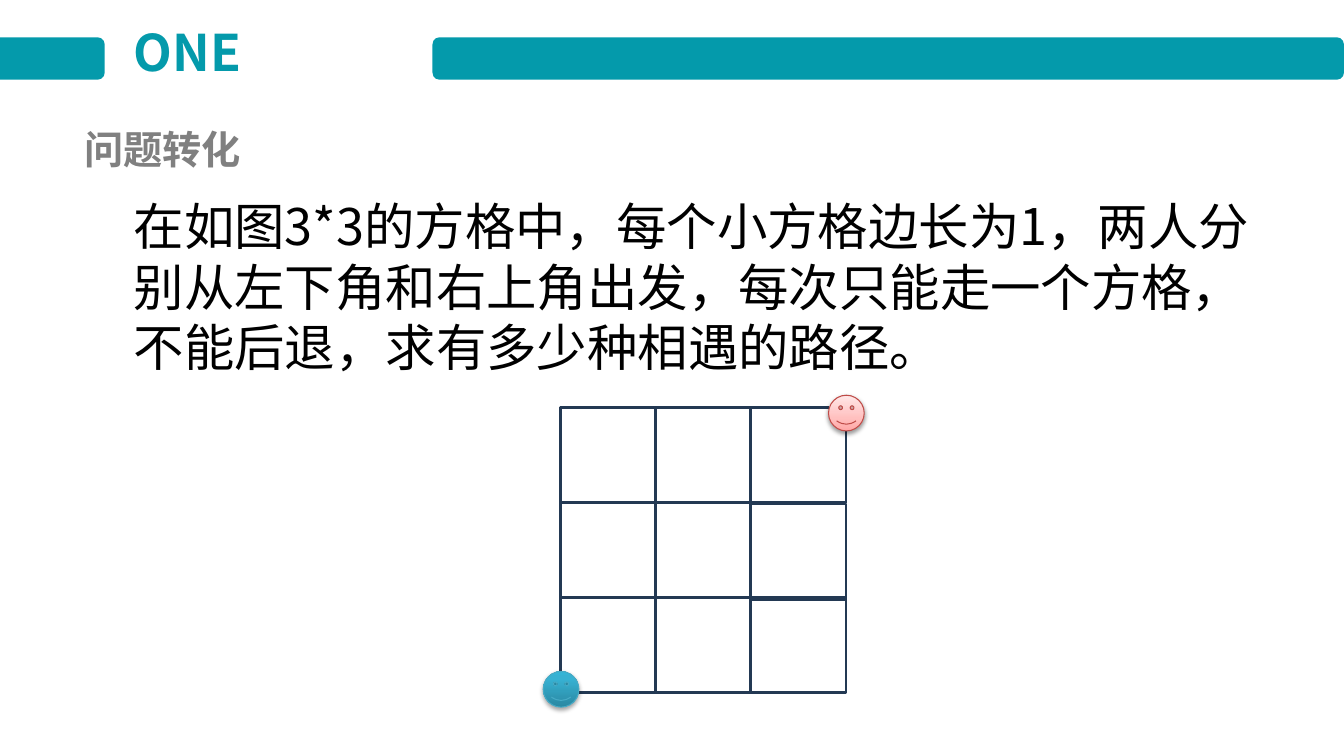
from itertools import product

from lxml.etree import SubElement
from pptx import Presentation
from pptx.dml.color import RGBColor
from pptx.enum.shapes import MSO_SHAPE as Shape
from pptx.enum.text import MSO_ANCHOR as Anchor, PP_ALIGN as Align
from pptx.oxml.ns import qn
from pptx.util import Cm, Pt

FONT = "Noto Sans CJK SC"
COLORS = {"teal": "049AAB", "black": "000000", "gray": "808080", "navy": "233953",
          "blue_edge": "46AAC5", "red_edge": "BF4C48"}
BLUE_STOPS = [(0, "2A88A2"), (80, "37B1D2"), (100, "34B4D6")]
PINK_STOPS = [(0, "FFA6A5"), (35, "FFC0BF"), (100, "FFE7E7")]
CELL = 2.4
GRID_LEFT, GRID_TOP = 14.12, 10.26


def rgb(name):
    return RGBColor.from_string(COLORS[name])


def place(shape, left, top, width, height):
    shape.left, shape.top, shape.width, shape.height = map(Cm, (left, top, width, height))


def write_text(box, text, size, color, bold=False):
    frame = box.text_frame
    frame.word_wrap = True
    frame.vertical_anchor = Anchor.TOP
    para = frame.paragraphs[0]
    para.text = text
    para.alignment = Align.LEFT
    font = para.font
    font.name, font.size, font.bold = FONT, Pt(size), bold
    font.color.rgb = rgb(color)
    defaults = para._p.pPr.find(qn("a:defRPr"))
    SubElement(defaults, qn("a:ea"), typeface=FONT)
    return para


def add_text(page, text, area, size, color, bold=False):
    box = page.shapes.add_textbox(*map(Cm, area))
    return box, write_text(box, text, size, color, bold)


def add_plain_shape(page, kind, area):
    shape = page.shapes.add_shape(kind, *map(Cm, area))
    shape.shadow.inherit = False
    return shape


def add_bar(page, left, width):
    bar = add_plain_shape(page, Shape.ROUNDED_RECTANGLE, (left, 0.94, width, 1.07))
    bar.fill.solid()
    bar.fill.fore_color.rgb = rgb("teal")
    bar.line.fill.background()


def add_cell(page, row, column):
    nudge = 0.04 if (row, column) == (1, 2) else 0
    area = (GRID_LEFT + column * CELL, GRID_TOP + row * CELL + nudge, CELL, CELL)
    cell = add_plain_shape(page, Shape.RECTANGLE, area)
    cell.fill.background()
    cell.line.color.rgb = rgb("navy")
    cell.line.width = Pt(2)


def add_color(parent, value):
    return SubElement(parent, qn("a:srgbClr"), val=value)


def add_smiley(page, left, top, stops, edge, opacity):
    """Add a face with an upward gradient and a soft shadow below it."""
    face = add_plain_shape(page, Shape.SMILEY_FACE, (left, top, 0.9, 0.9))
    face.line.color.rgb = rgb(edge)
    face.line.width = Pt(0.75)
    face.fill.gradient()
    properties = face._element.spPr
    gradient = properties.find(qn("a:gradFill"))
    for child in list(gradient):
        gradient.remove(child)
    stop_list = SubElement(gradient, qn("a:gsLst"))
    for percent, value in stops:
        add_color(SubElement(stop_list, qn("a:gs"), pos=str(percent * 1000)), value)
    SubElement(gradient, qn("a:lin"), ang="16200000", scaled="0")
    shadow = SubElement(properties.find(qn("a:effectLst")), qn("a:outerShdw"),
                        blurRad=str(Pt(3.1)), dist=str(Pt(1.7)), dir="5400000",
                        rotWithShape="0")
    SubElement(add_color(shadow, COLORS["black"]), qn("a:alpha"), val=str(opacity * 1000))


def main():
    deck = Presentation()
    deck.slide_width, deck.slide_height = Cm(33.87), Cm(19.05)
    page = deck.slides.add_slide(deck.slide_layouts[5])

    title = page.shapes.title
    place(title, 3.12, 0.41, 6.2, 1.8)
    write_text(title, "ONE", 36, "teal", bold=True)
    add_bar(page, -1.09, 3.73)
    add_bar(page, 10.9, 22.97)

    add_text(page, "在如图3*3的方格中，每个小方格边长为1，两人分别从左下角和右上角出发，"
                   "每次只能走一个方格，不能后退，求有多少种相遇的路径。",
             (3.12, 4.8, 28.98, 4.88), 36, "black")

    for row, column in product(range(3), repeat=2):
        add_cell(page, row, column)
    add_smiley(page, 13.69, 16.92, BLUE_STOPS, "blue_edge", 35)
    add_smiley(page, 20.88, 9.96, PINK_STOPS, "red_edge", 38)

    box, para = add_text(page, "问题转化", (2.13, 2.92, 13.87, 1.32), 28, "gray", bold=True)
    frame = box.text_frame
    frame.margin_left = frame.margin_right = frame.margin_top = frame.margin_bottom = 0
    para.line_spacing = 1.2

    deck.save("out.pptx")


if __name__ == "__main__":
    main()
